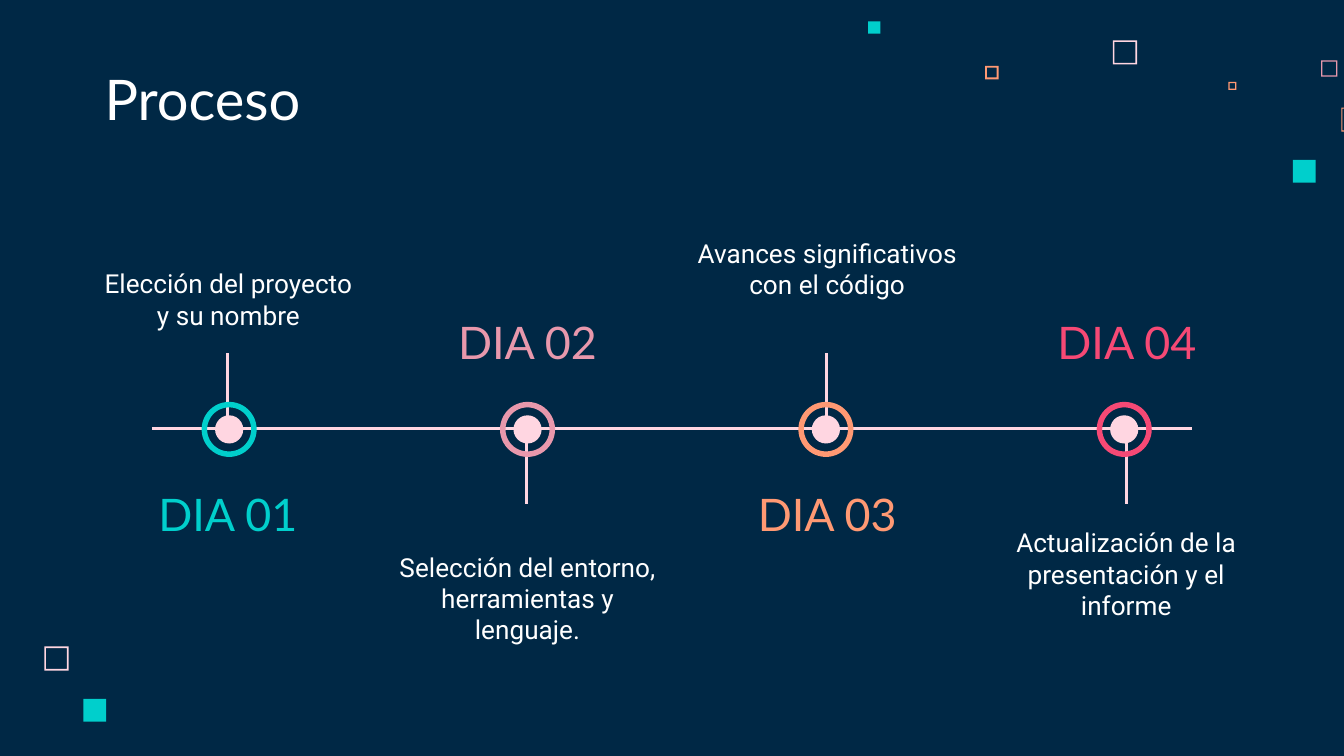
from pptx import Presentation, util as u
from pptx.dml.color import RGBColor
from pptx.enum import shapes, text
from pptx.oxml.ns import qn
from lxml import etree

COLORS = {
    "night": "002845",
    "white": "FFFFFF",
    "blush": "FFD6E1",
    "teal": "00CFCC",
    "rose": "E898AC",
    "orange": "FF9973",
    "crimson": "F64975",
}
FORMATS = {
    "title": {"name": "Lato", "size": u.Pt(30)},
    "day": {"name": "Lato", "size": u.Pt(24)},
    "detail": {"name": "Roboto", "size": u.Pt(14)},
}
TOP, MIDDLE, BOTTOM = (text.MSO_ANCHOR.TOP, text.MSO_ANCHOR.MIDDLE,
                       text.MSO_ANCHOR.BOTTOM)
LEFT, CENTER = text.PP_ALIGN.LEFT, text.PP_ALIGN.CENTER
KIND = shapes.MSO_SHAPE


class TimelineSlide:
    def __init__(self, deck):
        self.slide = deck.slides.add_slide(deck.slide_layouts[6])
        background = self.slide.background.fill
        background.solid()
        background.fore_color.rgb = self.color("night")

    def color(self, name):
        return RGBColor.from_string(COLORS[name])

    def shape(self, kind, left, top, size, color, thickness=None):
        """Add a square-bounded shape; thickness is a share of its size."""
        mark = self.slide.shapes.add_shape(
            kind, *map(u.Inches, (left, top, size, size)))
        mark.shadow.inherit = False
        mark.fill.solid()
        mark.fill.fore_color.rgb = self.color(color)
        mark.line.fill.background()
        if thickness:
            mark.adjustments[0] = thickness

    def line(self, x1, y1, x2, y2):
        rule = self.slide.shapes.add_connector(
            shapes.MSO_CONNECTOR.STRAIGHT, *map(u.Inches, (x1, y1, x2, y2)))
        rule.line.color.rgb = self.color("blush")
        rule.line.width = u.Pt(1.5)
        etree.SubElement(rule._element.spPr, qn("a:effectLst"))

    def label(self, words, box, style, color="white", anchor=MIDDLE, align=CENTER):
        holder = self.slide.shapes.add_textbox(*map(u.Inches, box))
        frame = holder.text_frame
        margin = u.Inches(0.1)
        layout = {"word_wrap": True, "vertical_anchor": anchor,
                  "margin_left": margin, "margin_right": margin,
                  "margin_top": margin, "margin_bottom": margin}
        for key, value in layout.items():
            setattr(frame, key, value)
        paragraph = frame.paragraphs[0]
        paragraph.alignment = align
        run = paragraph.add_run()
        run.text = words
        for key, value in FORMATS[style].items():
            setattr(run.font, key, value)
        run.font.color.rgb = self.color(color)


def main():
    deck = Presentation()
    # Widescreen, 16:9
    deck.slide_width = u.Inches(10)
    deck.slide_height = u.Inches(10 * 9 / 16)
    process = TimelineSlide(deck)

    # Scattered squares: left, top, size, colour, outline share (None is solid)
    squares = [
        (8.28, 0.3, 0.18, "blush", 0.07),
        (9.83, 0.45, 0.12, "rose", 0.07),
        (9.14, 0.61, 0.06, "orange", 0.17),
        (9.98, 0.8, 0.18, "orange", 0.05),
        (9.62, 1.19, 0.17, "teal", None),
        (7.33, 0.49, 0.1, "orange", 0.14),
        (6.46, 0.16, 0.09, "teal", None),
        (0.33, 4.81, 0.18, "blush", 0.07),
        (0.62, 5.2, 0.17, "teal", None),
    ]
    for left, top, size, color, outline in squares:
        process.shape(KIND.FRAME if outline else KIND.RECTANGLE,
                      left, top, size, color, outline)

    # Title
    process.label("Proceso", (0.68, 0.45, 5.17, 0.63), "title",
                  anchor=BOTTOM, align=LEFT)

    # Time axis
    process.line(1.13, 3.19, 8.87, 3.19)

    # Days: colour, detail and its box; details alternate above and below
    days = [
        ("teal", "Elección del proyecto y su nombre", (0.67, 1.86, 2.06, 0.7)),
        ("rose", "Selección del entorno, herramientas y lenguaje.",
         (2.77, 4, 2.31, 0.7)),
        ("orange", "Avances significativos con el código", (5, 1.63, 2.31, 0.7)),
        ("crimson", "Actualización de la presentación y el informe",
         (7.35, 3.82, 2.06, 0.7)),
    ]
    for index, (color, detail, detail_box) in enumerate(days):
        above = index % 2 == 0
        stem = 1.69 + 2.23 * index
        ring = 1.5 + 2.22 * index
        stem_top, stem_bottom = (2.63, 3.13) if above else (3.26, 3.75)
        process.line(stem, stem_top, stem, stem_bottom)
        process.shape(KIND.OVAL, ring + 0.1, 3.09, 0.21, "blush")
        process.shape(KIND.DONUT, ring, 2.99, 0.41, color, 0.1)
        process.label(detail, detail_box, "detail",
                      anchor=BOTTOM if above else TOP)
        process.label(f"DIA {index + 1:02}",
                      (0.99 + 2.23 * index, 3.59 if above else 2.31, 1.41, 0.47),
                      "day", color)

    deck.save("out.pptx")


if __name__ == "__main__":
    main()
